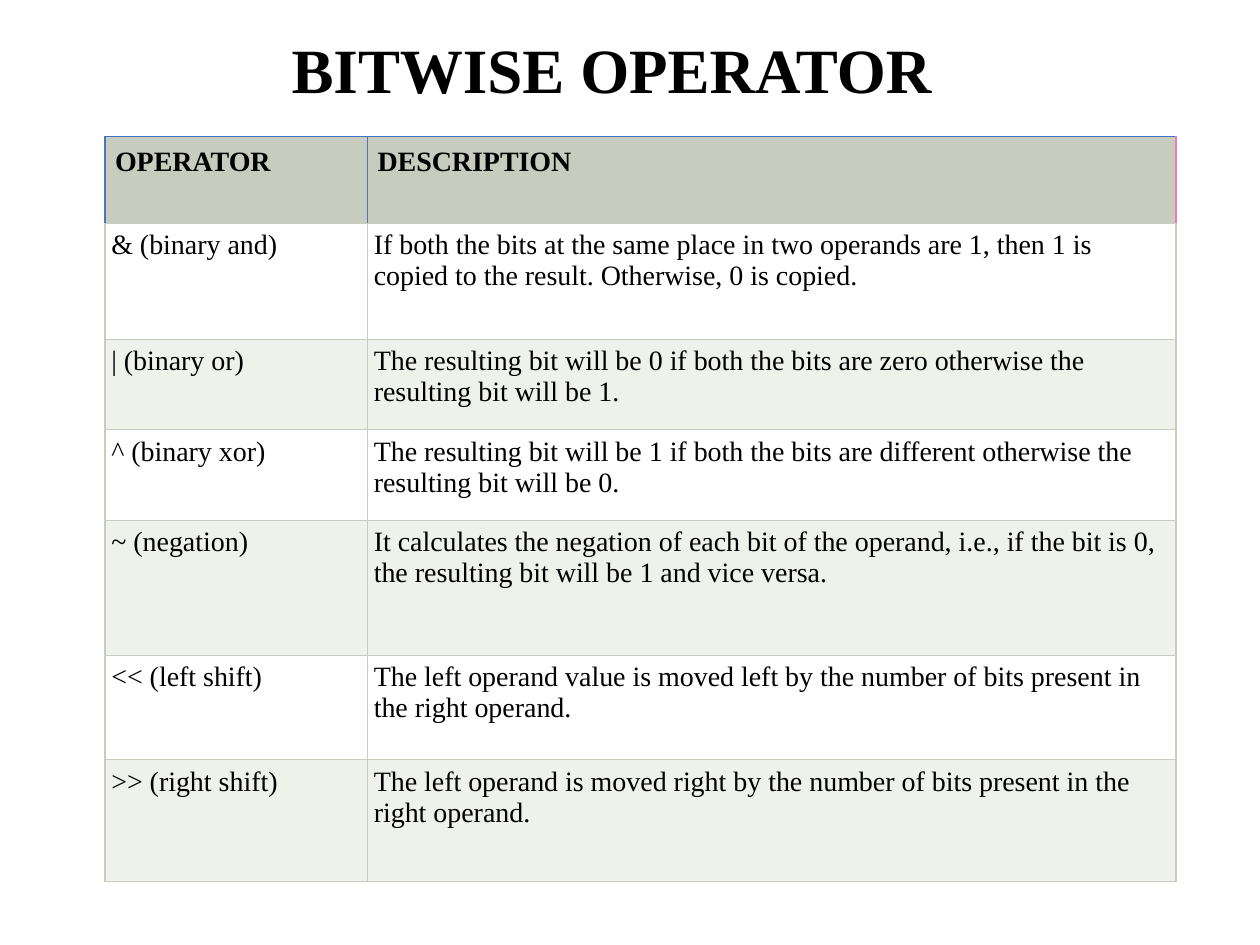
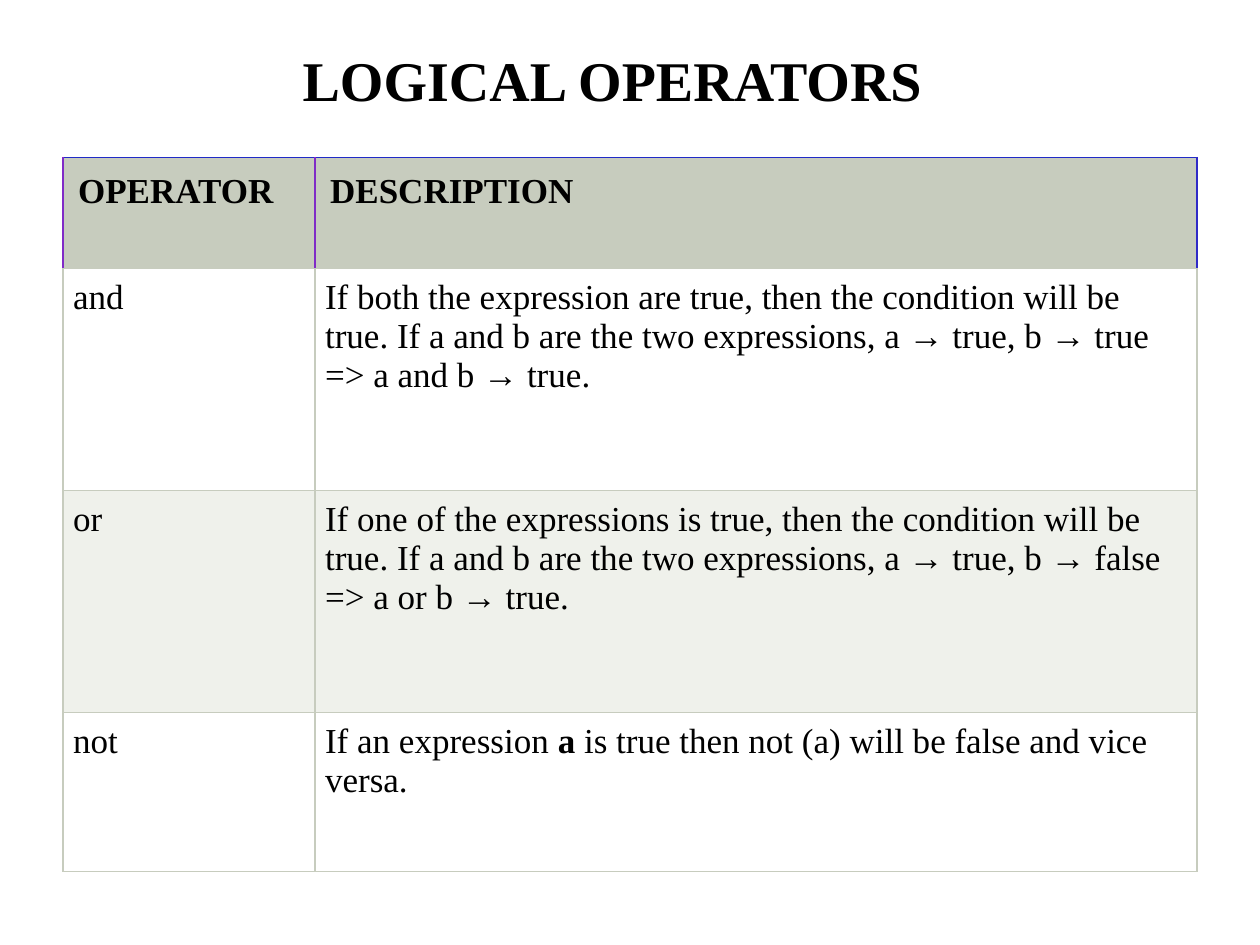
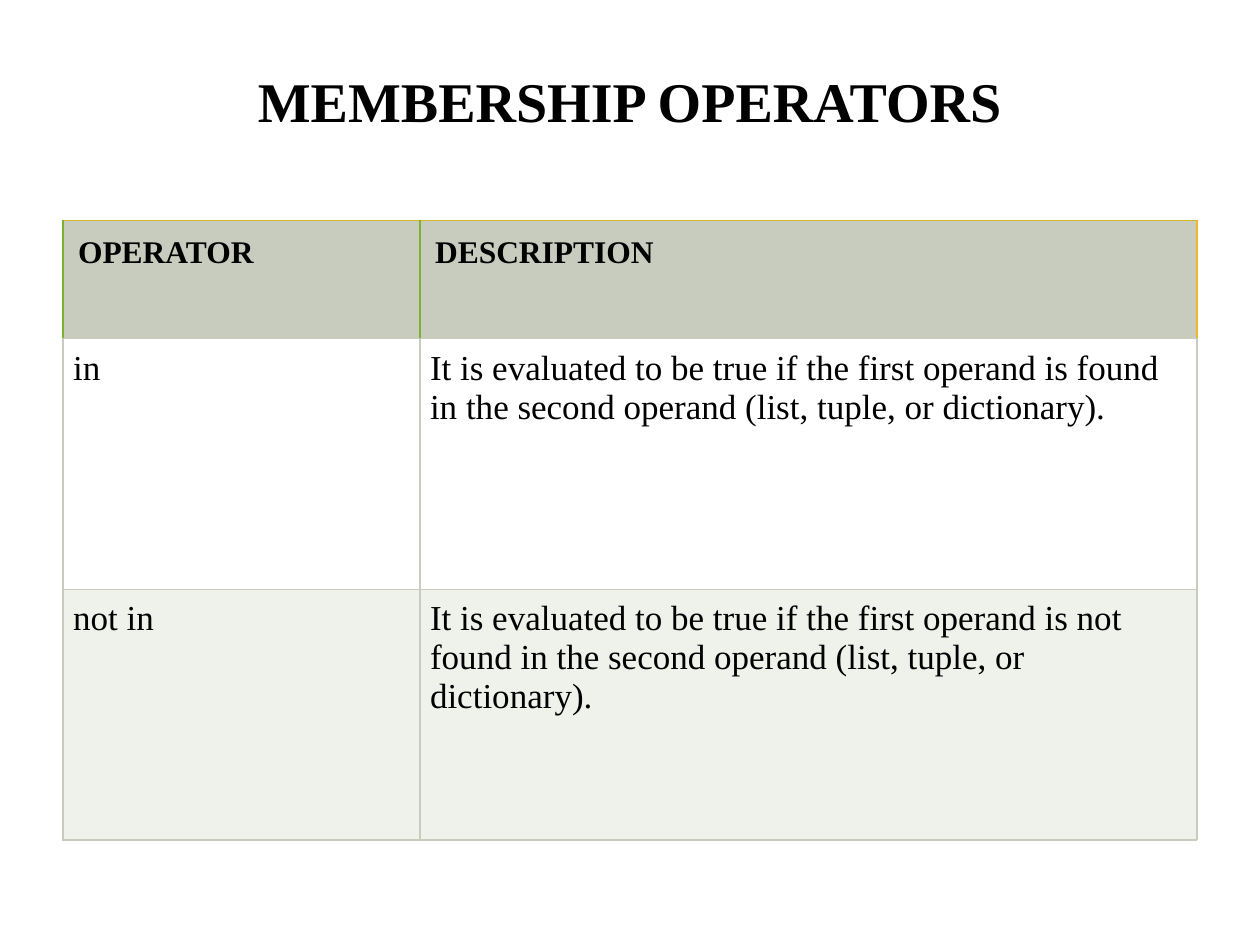
import pptx
import pptx.util
import pptx.dml.color
import pptx.enum.text
import pptx.oxml
import pptx.oxml.ns
from lxml import etree

FONT = "Times New Roman"
INK, WHITE, SAGE, PALE = "000000", "FFFFFF", "C7CCBE", "EFF1EB"
HEADINGS = ("OPERATOR", "DESCRIPTION")
BORDER_WIDTH = 0.75
COLUMNS = 120  # the slide is a grid of 120 x 90 square units

deck = pptx.Presentation()
deck.slide_width = pptx.util.Inches(10)
deck.slide_height = pptx.util.Inches(7.5)


def grid(units):
    """Turn grid units into a length."""
    return round(deck.slide_width * units / COLUMNS)


def colour(hex_code):
    """Turn a hex string into a colour."""
    return pptx.dml.color.RGBColor.from_string(hex_code)


def add_run(paragraph, wording, size, bold=False):
    """Append one run in the deck's typeface."""
    run = paragraph.add_run()
    run.text = wording
    run.font.name = FONT
    run.font.size = pptx.util.Pt(size)
    run.font.bold = bold
    run.font.color.rgb = colour(INK)


def add_title(slide, box, wording, size):
    """Place the centred bold title in its box."""
    title = slide.shapes.add_textbox(*map(grid, box)).text_frame
    title.word_wrap = True
    title.vertical_anchor = pptx.enum.text.MSO_ANCHOR.MIDDLE
    title.paragraphs[0].alignment = pptx.enum.text.PP_ALIGN.CENTER
    add_run(title.paragraphs[0], wording, size, bold=True)


def set_borders(cell, left, right, top, bottom):
    """Draw the four edges of a cell, each in its own colour."""
    properties = cell._tc.get_or_add_tcPr()
    edges = zip(("lnL", "lnR", "lnT", "lnB"), (left, right, top, bottom))
    for position, (edge, hex_code) in enumerate(edges):
        line = etree.Element(pptx.oxml.ns.qn("a:" + edge),
                             w=str(pptx.util.Pt(BORDER_WIDTH)))
        fill = etree.SubElement(line, pptx.oxml.ns.qn("a:solidFill"))
        etree.SubElement(fill, pptx.oxml.ns.qn("a:srgbClr"), val=hex_code)
        properties.insert(position, line)


def fill_cell(cell, runs, size, inset, fill, borders):
    """Write the runs of a cell and set its margins, fill and edges."""
    margin = pptx.util.Inches(inset)
    cell.margin_left = cell.margin_right = margin
    cell.margin_top = cell.margin_bottom = margin
    cell.fill.solid()
    cell.fill.fore_color.rgb = colour(fill)
    set_borders(cell, *borders)
    for wording, bold in runs:
        add_run(cell.text_frame.paragraphs[0], wording, size, bold)


def add_operator_table(slide, box, operator_width, row_shares, operators,
                       sizes, insets, accents):
    """Place a heading row and one banded row for each operator.

    sizes and insets are (heading, body); accents are the heading's
    (inner edges, top, outer right) colours.
    """
    table = slide.shapes.add_table(len(operators) + 1, len(HEADINGS),
                                   *map(grid, box)).table
    table.first_row = table.horz_banding = False
    width, height = box[2:]
    table.columns[0].width = grid(operator_width)
    table.columns[1].width = grid(width - operator_width)
    for row, share in zip(table.rows, row_shares):
        row.height = grid(height * share / sum(row_shares))

    inner, top, outer = accents
    for column, (heading, right) in enumerate(zip(HEADINGS, (inner, outer))):
        fill_cell(table.cell(0, column), [(heading, True)], sizes[0],
                  insets[0], SAGE, (inner, right, top, SAGE))
    for number, entry in enumerate(operators, start=1):
        band = WHITE if number % 2 else PALE
        for column, content in enumerate(entry):
            runs = [(content, False)] if isinstance(content, str) else content
            fill_cell(table.cell(number, column), runs, sizes[1], insets[1],
                      band, (SAGE,) * 4)


def add_operator_slide(title, title_at, title_size, **table_parts):
    """Add a slide with a title above a table of operators."""
    slide = deck.slides.add_slide(deck.slide_layouts[6])
    slide.background.fill.solid()
    slide.background.fill.fore_color.rgb = colour(WHITE)
    add_title(slide, (*title_at, 108, 15), title, title_size)
    add_operator_table(slide, **table_parts)


add_operator_slide(
    "BITWISE OPERATOR ", (5, -1), 36,
    box=(10, 13, 102, 71), operator_width=25,
    row_shares=(0.69, 0.92, 0.72, 0.72, 1.07, 0.83, 0.97),
    sizes=(16, 16), insets=(0.08, 0.05),
    accents=("5075BF", "4071BF", "F076BF"),
    operators=[
        ("& (binary and)",
         "If both the bits at the same place in two operands are 1, then 1 is "
         "copied to the result. Otherwise, 0 is copied. "),
        ("| (binary or)",
         "The resulting bit will be 0 if both the bits are zero otherwise the "
         "resulting bit will be 1. "),
        ("^ (binary xor)",
         "The resulting bit will be 1 if both the bits are different "
         "otherwise the resulting bit will be 0. "),
        ("~ (negation) ",
         "It calculates the negation of each bit of the operand, i.e., if the "
         "bit is 0, the resulting bit will be 1 and vice versa. "),
        ("<< (left shift)",
         "The left operand value is moved left by the number of bits present "
         "in the right operand. "),
        (">> (right shift)",
         "The left operand is moved right by the number of bits present in "
         "the right operand."),
    ])

add_operator_slide(
    "LOGICAL OPERATORS ", (5, 0), 32,
    box=(6, 15, 108, 68), operator_width=24,
    row_shares=(0.88, 1.76, 1.76, 1.26),
    sizes=(20, 20), insets=(0.12, 0.08),
    accents=("802BC7", "202AC7", "302AC7"),
    operators=[
        ("and",
         "If both the expression are true, then the condition will be true. "
         "If a and b are the two expressions, a → true, b → true => a and b "
         "→ true."),
        ("or",
         "If one of the expressions is true, then the condition will be true. "
         "If a and b are the two expressions, a → true, b → false => a or b "
         "→ true."),
        ("not",
         [("If an expression ", False), ("a", True),
          (" is true then not (a) will be false and vice versa.", False)]),
    ])

add_operator_slide(
    "MEMBERSHIP OPERATORS", (6, 2), 32,
    box=(6, 21, 108, 59), operator_width=34,
    row_shares=(0.94, 1.99, 1.99),
    sizes=(18, 20), insets=(0.12, 0.08),
    accents=("80B12D", "D0BA2D", "F0B72D"),
    operators=[
        ("in",
         "It is evaluated to be true if the first operand is found in the "
         "second operand (list, tuple, or dictionary). "),
        ("not in",
         "It is evaluated to be true if the first operand is not found in the "
         "second operand (list, tuple, or dictionary)."),
    ])

deck.save("out.pptx")
